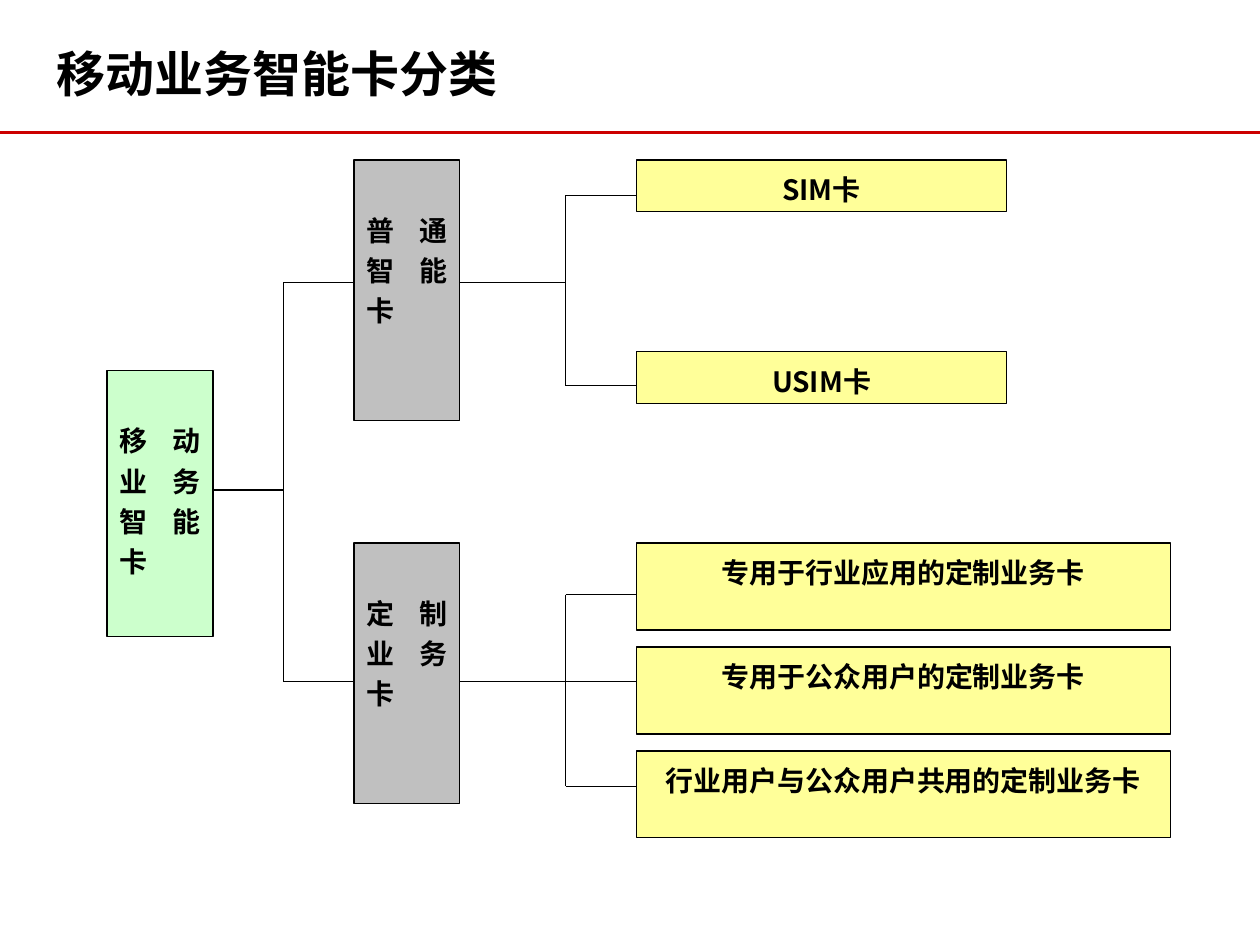
from dataclasses import dataclass

from lxml.etree import SubElement
from pptx import Presentation
from pptx.dml.color import RGBColor
from pptx.enum.shapes import MSO_CONNECTOR as Connector, MSO_SHAPE as Shape
from pptx.enum.text import MSO_ANCHOR as Anchor, MSO_AUTO_SIZE as AutoSize, PP_ALIGN as Align
from pptx.oxml.ns import qn
from pptx.util import Inches, Pt


@dataclass(frozen=True)
class Theme:
    """Colours, font and sizes of the slide."""
    font: str = "Noto Sans CJK SC"
    ink: str = "000000"
    rule: str = "CC0000"
    root: str = "CCFFCC"
    group: str = "C0C0C0"
    leaf: str = "FFFF99"
    title_size: int = 28
    body_size: int = 16
    rule_width: float = 1.5
    line_width: float = 0.75


THEME = Theme()
ROOT_LEFT, GROUP_LEFT, LEAF_LEFT = 0.85, 2.81, 5.05
NODE_WIDTH, LEAD = 0.84, 0.56


def style_span(span, size):
    """Give a run the bold theme font for Latin and Chinese text."""
    span.font.name = THEME.font
    span.font.size = Pt(size)
    span.font.bold = True
    span.font.color.rgb = RGBColor.from_string(THEME.ink)
    SubElement(span.font._element, qn("a:ea"), typeface=THEME.font)


def set_title(page, text):
    """Place and format the title placeholder."""
    title = page.shapes.title
    title.left, title.top = Inches(0.35), Inches(0.21)
    title.width, title.height = Inches(7.64), Inches(0.73)
    frame = title.text_frame
    frame.text = text
    frame.auto_size = AutoSize.NONE
    frame.vertical_anchor = Anchor.MIDDLE
    para = frame.paragraphs[0]
    para.alignment = Align.LEFT
    style_span(para.runs[0], THEME.title_size)


def add_line(page, start, end, colour=THEME.ink, width=THEME.line_width):
    """Draw a straight line between two points in inches."""
    points = [Inches(value) for value in (*start, *end)]
    line = page.shapes.add_connector(Connector.STRAIGHT, *points)
    line.line.color.rgb = RGBColor.from_string(colour)
    line.line.width = Pt(width)
    SubElement(line._element.spPr, qn("a:effectLst"))


def add_box(page, text, place, fill, align=Align.CENTER, inset_top=0.05):
    """Draw an outlined rectangle with bold text from its top."""
    box = page.shapes.add_shape(Shape.RECTANGLE, *(Inches(value) for value in place))
    box.shadow.inherit = False
    box.fill.solid()
    box.fill.fore_color.rgb = RGBColor.from_string(fill)
    box.line.color.rgb = RGBColor.from_string(THEME.ink)
    box.line.width = Pt(THEME.line_width)
    frame = box.text_frame
    frame.text = text
    frame.word_wrap = True
    frame.vertical_anchor = Anchor.TOP
    frame.margin_top = Inches(inset_top)
    para = frame.paragraphs[0]
    para.alignment = align
    para.line_spacing = 1.2
    style_span(para.runs[0], THEME.body_size)


def add_node(page, text, left, top, height, fill):
    """Draw a narrow box whose justified text wraps two characters a line."""
    add_box(page, text, (left, top, NODE_WIDTH, height), fill, Align.JUSTIFY, 0.37)


def add_leaves(page, texts, top, step, width, height):
    """Stack the leaf boxes of one group at equal steps."""
    for index, text in enumerate(texts):
        add_box(page, text, (LEAF_LEFT, top + index * step, width, height), THEME.leaf)


def add_bracket(page, left, right, stem, branches):
    """Link a parent's right edge to its children through a vertical trunk."""
    trunk = right - LEAD
    add_line(page, (left, stem), (trunk, stem))
    add_line(page, (trunk, branches[0]), (trunk, branches[-1]))
    for level in branches:
        add_line(page, (trunk, level), (right, level))


def main():
    """Build the classification tree and save it."""
    deck = Presentation()
    deck.slide_width, deck.slide_height = Inches(10), Inches(7.5)
    page = deck.slides.add_slide(deck.slide_layouts[5])
    set_title(page, "移动业务智能卡分类")
    add_line(page, (0, 1.05), (10, 1.05), THEME.rule, THEME.rule_width)

    add_node(page, "移动业务智能卡", ROOT_LEFT, 2.94, 2.11, THEME.root)
    add_node(page, "普通智能卡", GROUP_LEFT, 1.27, 2.07, THEME.group)
    add_node(page, "定制业务卡", GROUP_LEFT, 4.31, 2.07, THEME.group)

    add_leaves(page, ["SIM卡", "USIM卡"], 1.27, 1.52, 2.94, 0.41)
    custom_cards = [
        "专用于行业应用的定制业务卡",
        "专用于公众用户的定制业务卡",
        "行业用户与公众用户共用的定制业务卡",
    ]
    add_leaves(page, custom_cards, 4.31, 0.825, 4.24, 0.69)

    root_right, group_right = ROOT_LEFT + NODE_WIDTH, GROUP_LEFT + NODE_WIDTH
    add_bracket(page, root_right, GROUP_LEFT, 3.89, [2.24, 5.41])
    add_bracket(page, group_right, LEAF_LEFT, 2.24, [1.55, 3.06])
    add_bracket(page, group_right, LEAF_LEFT, 5.41, [4.72, 5.41, 6.24])
    deck.save("out.pptx")


if __name__ == "__main__":
    main()
